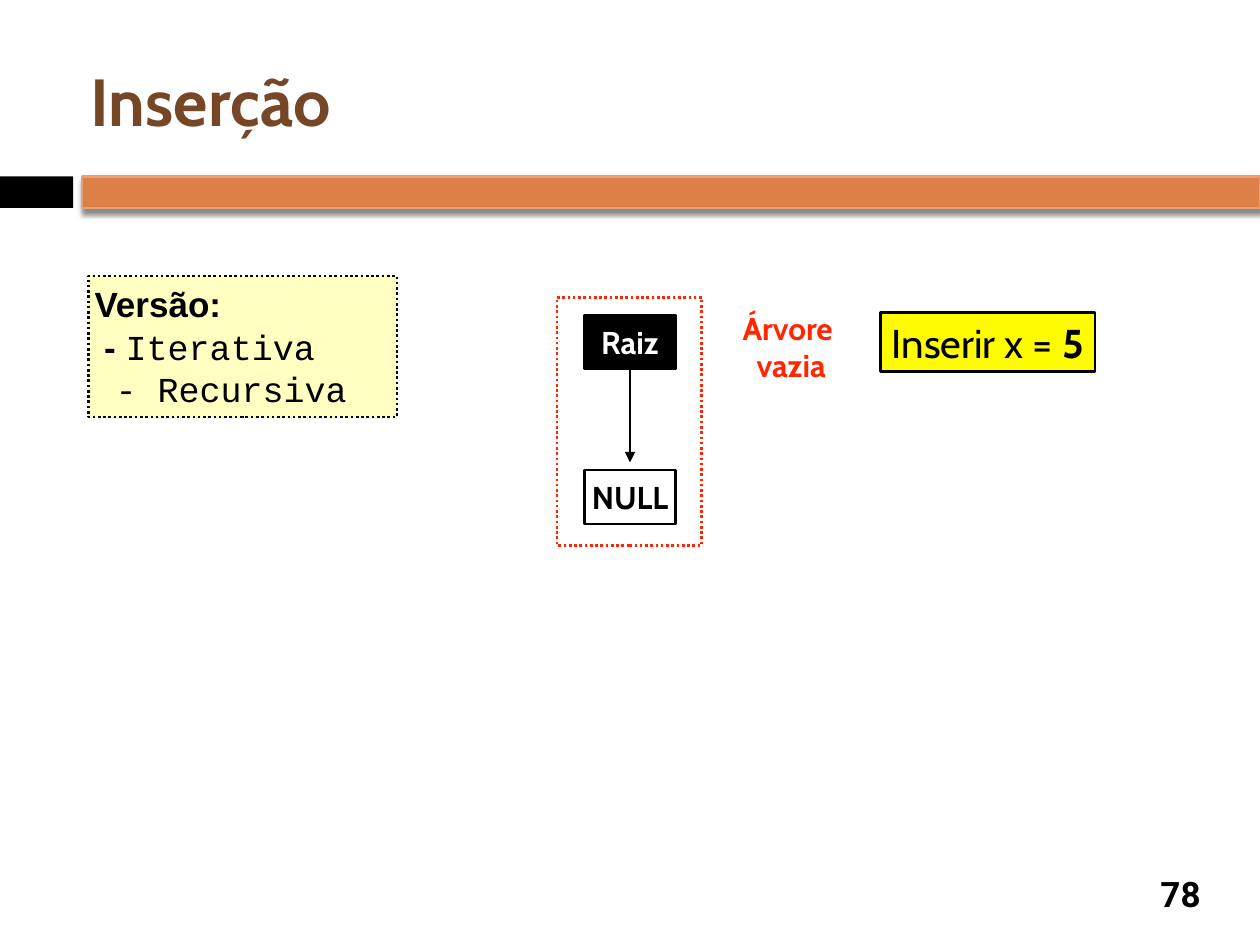
from dataclasses import dataclass
from typing import Optional

import pptx
import pptx.dml.color
import pptx.enum.dml
import pptx.enum.shapes
import pptx.enum.text
import pptx.oxml
import pptx.oxml.ns
import pptx.util

Inches = pptx.util.Inches
Pt = pptx.util.Pt
ALIGN = pptx.enum.text.PP_ALIGN
ANCHOR = pptx.enum.text.MSO_ANCHOR

COLORS = {
    "black": "000000",
    "white": "FFFFFF",
    "orange": "DD8047",
    "light_orange": "E5A075",
    "brown": "754726",
    "cream": "FFFFC2",
    "red": "FF2600",
    "yellow": "FFFB00",
}


@dataclass
class Box:
    left: float
    top: float
    width: float
    height: float
    fill: Optional[str] = None
    line: Optional[str] = None
    dotted: bool = False


@dataclass
class Run:
    text: str
    bold: bool = True
    font: Optional[str] = None


def rgb(name: str) -> pptx.dml.color.RGBColor:
    return pptx.dml.color.RGBColor.from_string(COLORS[name])


def add_effects(sp, content: str = "") -> None:
    xml = f'<a:effectLst {pptx.oxml.ns.nsdecls("a")}>{content}</a:effectLst>'
    sp._element.spPr.append(pptx.oxml.parse_xml(xml))


def add_box(s, box: Box):
    sp = s.shapes.add_shape(
        pptx.enum.shapes.MSO_SHAPE.RECTANGLE,
        Inches(box.left), Inches(box.top), Inches(box.width), Inches(box.height),
    )
    if box.fill:
        sp.fill.solid()
        sp.fill.fore_color.rgb = rgb(box.fill)
    else:
        sp.fill.background()
    if box.line:
        sp.line.color.rgb = rgb(box.line)
        sp.line.width = Pt(1.5)
        if box.dotted:
            sp.line.dash_style = pptx.enum.dml.MSO_LINE.ROUND_DOT
    else:
        sp.line.fill.background()
    sp.shadow.inherit = False
    return sp


def add_label(s, box: Box):
    return s.shapes.add_textbox(
        Inches(box.left), Inches(box.top), Inches(box.width), Inches(box.height)
    )


def write(sp, paragraphs: list[list[Run]], *, size: float, font: str = "Cabin",
          color: str = "black", align=ALIGN.CENTER, anchor=ANCHOR.MIDDLE,
          wrap: bool = True, spacing: Optional[float] = None) -> None:
    tf = sp.text_frame
    tf.word_wrap = wrap
    tf.vertical_anchor = anchor
    tf.margin_left = tf.margin_right = tf.margin_top = tf.margin_bottom = Inches(0.05)
    for i, runs in enumerate(paragraphs):
        p = tf.add_paragraph() if i else tf.paragraphs[0]
        p.alignment = align
        if spacing:
            p.line_spacing = Pt(spacing)
        for run in runs:
            r = p.add_run()
            r.text = run.text
            r.font.size = Pt(size)
            r.font.name = run.font or font
            r.font.bold = run.bold
            r.font.color.rgb = rgb(color)


def add_arrow(s, x: float, top: float, bottom: float) -> None:
    arrow = s.shapes.add_connector(
        pptx.enum.shapes.MSO_CONNECTOR.STRAIGHT,
        Inches(x), Inches(top), Inches(x), Inches(bottom),
    )
    arrow.line.color.rgb = rgb("black")
    arrow.line.width = Pt(1.5)
    arrow.line._get_or_add_ln().append(pptx.oxml.parse_xml(
        f'<a:tailEnd {pptx.oxml.ns.nsdecls("a")} type="triangle"/>'
    ))
    add_effects(arrow)


def add_node(s, text: str, top: float, fill: str, color: str) -> None:
    node = add_box(s, Box(4.64, top, 0.72, 0.43, fill, "black"))
    write(node, [[Run(text)]], size=18, color=color, wrap=False)


def add_header(s) -> None:
    add_box(s, Box(0, 1.4, 0.58, 0.25, "black"))
    bar = add_box(s, Box(0.65, 1.4, 9.35, 0.25, "orange", "light_orange"))
    effects = bar._element.spPr.find(pptx.oxml.ns.qn("a:effectLst"))
    effects.append(pptx.oxml.parse_xml(
        f'<a:outerShdw {pptx.oxml.ns.nsdecls("a")} blurRad="{Pt(3)}" dist="{Pt(2.4)}" '
        f'dir="5400000" rotWithShape="0"><a:srgbClr val="{COLORS["black"]}">'
        '<a:alpha val="45000"/></a:srgbClr></a:outerShdw>'
    ))
    write(add_label(s, Box(9.08, 6.89, 0.58, 0.41)), [[Run("78")]], size=20, font="Roboto")
    write(add_label(s, Box(0.67, 0.25, 8.92, 1.08)), [[Run("Inserção")]],
          size=38, color="brown", align=ALIGN.LEFT)


def add_versions(s) -> None:
    versions = add_box(s, Box(0.7, 2.19, 2.45, 1.12, "cream", "black", True))
    write(
        versions,
        [
            [Run("Versão:")],
            [Run(" - "), Run("Iterativa", False, "Courier New")],
            [Run(" - Recursiva", False, "Courier New")],
        ],
        size=20, font="Arial", align=ALIGN.LEFT, anchor=ANCHOR.TOP, spacing=24.3,
    )


def add_tree(s) -> None:
    add_node(s, "Raiz", 2.5, "black", "white")
    add_arrow(s, 5, 2.91, 3.67)
    add_node(s, "NULL", 3.73, "white", "black")
    add_box(s, Box(4.42, 2.36, 1.15, 1.97, None, "red", True))
    write(add_label(s, Box(5.83, 2.4, 0.9, 0.63)), [[Run("Árvore ")], [Run("vazia")]],
          size=18, color="red", anchor=ANCHOR.TOP, wrap=False)
    operation = add_box(s, Box(6.99, 2.48, 1.7, 0.47, "yellow", "black"))
    write(operation, [[Run("Inserir x = ", False), Run("5")]],
          size=23, anchor=ANCHOR.TOP, wrap=False)


def main() -> None:
    prs = pptx.Presentation()
    prs.slide_width = Inches(10)
    prs.slide_height = Inches(7.5)
    s = prs.slides.add_slide(prs.slide_layouts[6])
    add_header(s)
    add_versions(s)
    add_tree(s)
    prs.save("out.pptx")


if __name__ == "__main__":
    main()
